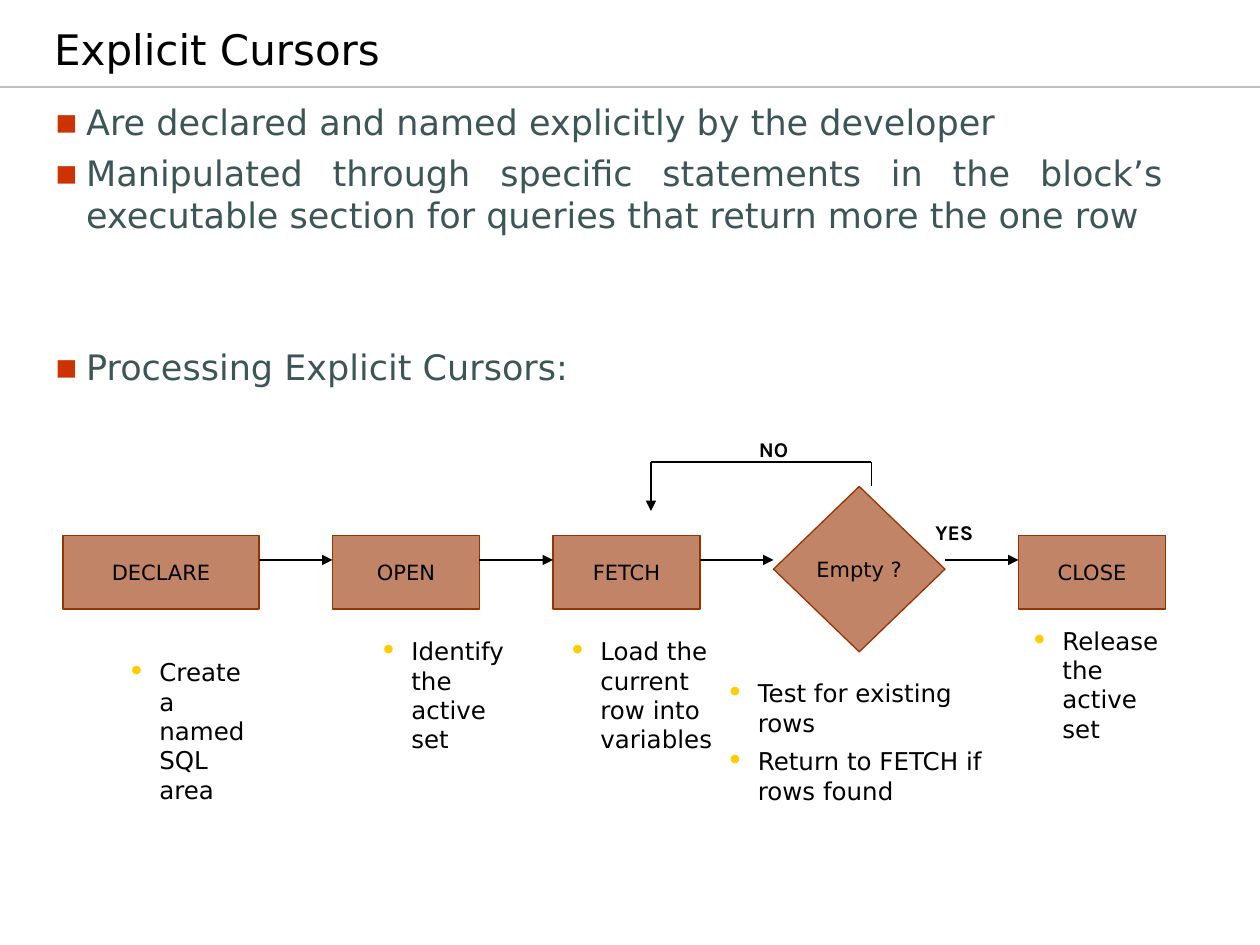
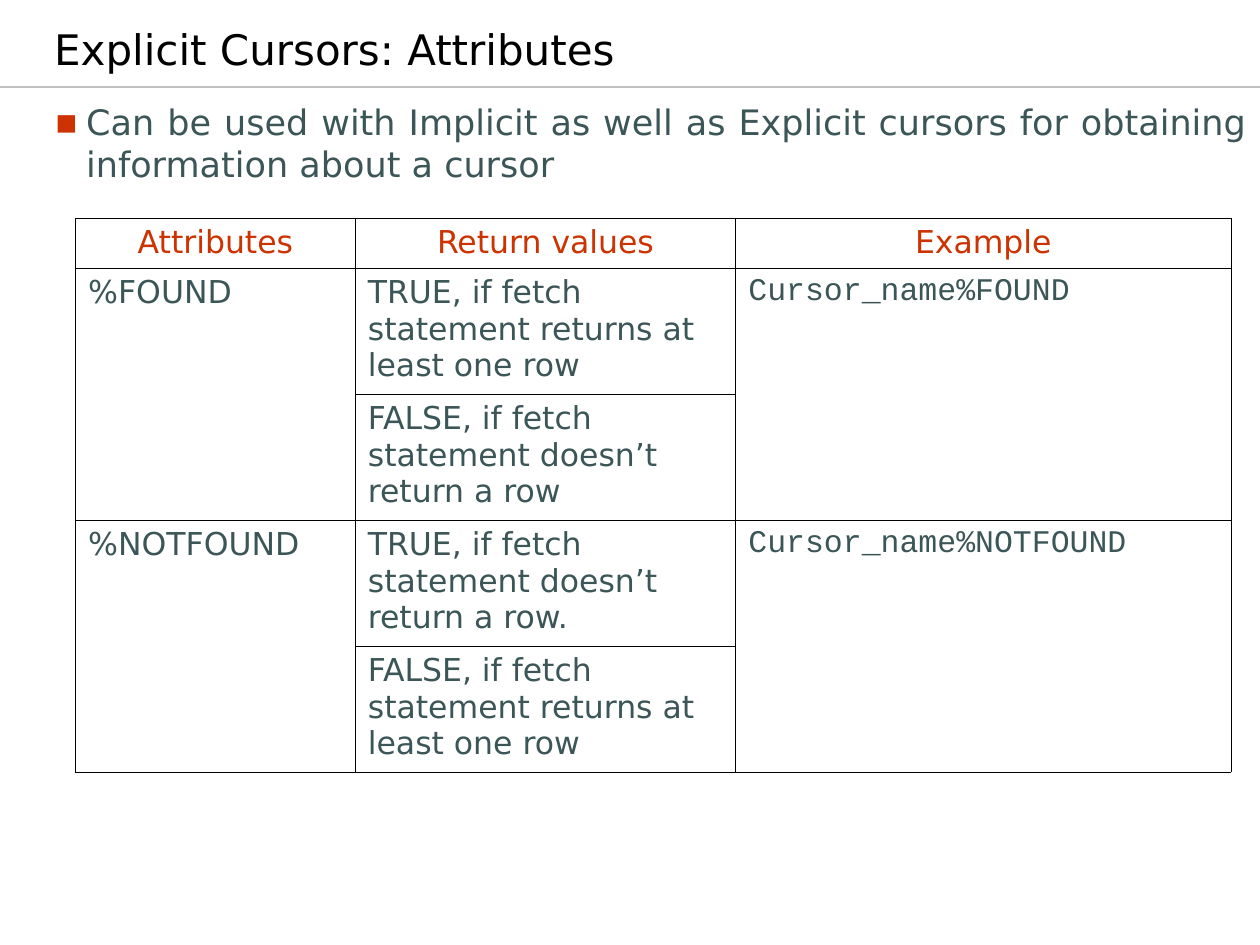
from dataclasses import dataclass
from itertools import accumulate

from lxml.etree import SubElement
from pptx import Presentation
from pptx.dml.color import RGBColor
from pptx.enum.shapes import MSO_CONNECTOR, MSO_SHAPE
from pptx.enum.text import MSO_ANCHOR, MSO_AUTO_SIZE, PP_ALIGN
from pptx.oxml.ns import qn
from pptx.util import Inches, Pt


@dataclass(frozen=True)
class Theme:
    font: str = "DejaVu Sans"
    label_font: str = "Karla"
    code_font: str = "Courier New"
    ink: str = "000000"
    text: str = "3C5658"
    accent: str = "CC3300"
    step: str = "993300"
    caption_bullet: str = "FFCC00"
    rule: str = "C0C0C0"
    title_size: int = 24
    body_size: int = 20
    table_size: int = 18
    caption_size: int = 14
    step_size: int = 12
    line: float = 0.74
    border: float = 0.34


THEME = Theme()
SLIDE_COLS, SLIDE_ROWS = 120, 90


@dataclass(frozen=True)
class Box:
    left: float
    top: float
    width: float
    height: float

    def area(self, left, top, width, height, unit=1):
        return Box(self.left + left * unit, self.top + top * unit, width * unit, height * unit)

    def emu(self):
        return [Inches(cells / 12) for cells in (self.left, self.top, self.width, self.height)]


SLIDE = Box(0, 0, SLIDE_COLS, SLIDE_ROWS)
TITLE = SLIDE.area(0.36, 2.04, 87.72, 5.64)
BODY = SLIDE.area(4, 9, 108, 74)
WIDE_BODY = SLIDE.area(4, 9, 116, 74)
FLOW = SLIDE.area(6, 44, 105, 18.67)
CAPTIONS = SLIDE.area(6, 59, 106, 20)
ATTRIBUTES = SLIDE.area(7.2, 20.76, 110.04, 52.8)


def rgb(color):
    return RGBColor.from_string(color)


def style(paragraph, size, color, font=THEME.font, align=PP_ALIGN.LEFT, bold=False):
    paragraph.alignment = align
    for run in paragraph.runs:
        run.font.name, run.font.size, run.font.bold = font, Pt(size), bold
        run.font.color.rgb = rgb(color)


def bullet(paragraph, mark, color, percent):
    props = paragraph._p.get_or_add_pPr()
    props.set("marL", str(Inches(0.25)))
    props.set("indent", str(-Inches(0.25)))
    SubElement(SubElement(props, qn("a:buClr")), qn("a:srgbClr"), val=color)
    SubElement(props, qn("a:buSzPct"), val=str(percent * 1000))
    SubElement(props, qn("a:buFont"), typeface=THEME.font)
    SubElement(props, qn("a:buChar"), char=mark)


def place(shape, box):
    shape.left, shape.top, shape.width, shape.height = box.emu()


def connect(slide, box, start, end, unit=1, color=THEME.ink, arrow=False):
    first, last = (box.area(*point, 0, 0, unit).emu()[:2] for point in (start, end))
    link = slide.shapes.add_connector(MSO_CONNECTOR.STRAIGHT, *first, *last)
    link.line.width, link.line.color.rgb = Pt(THEME.line), rgb(color)
    props = link.element.spPr
    if arrow:
        SubElement(props.find(qn("a:ln")), qn("a:tailEnd"), type="triangle")
    SubElement(props, qn("a:effectLst"))
    return link


def master_rule(deck, slide):
    rule = connect(slide, SLIDE, (0, 8.28), (SLIDE_COLS, 8.28), color=THEME.rule)
    deck.slide_master.element.cSld.spTree.append(rule.element)


def content_slide(deck, heading, points, body_box):
    slide = deck.slides.add_slide(deck.slide_layouts[1])
    title, body = slide.placeholders
    place(title, TITLE)
    title.text_frame.text = heading
    title.text_frame.auto_size = MSO_AUTO_SIZE.NONE
    title.text_frame.vertical_anchor = MSO_ANCHOR.BOTTOM
    title.text_frame.margin_left = Inches(0.4)
    style(title.text_frame.paragraphs[0], THEME.title_size, THEME.ink)
    place(body, body_box)
    body.text_frame.text = "\n".join(text for text, _ in points)
    body.text_frame.auto_size = MSO_AUTO_SIZE.NONE
    for paragraph, (_, gap) in zip(body.text_frame.paragraphs, points):
        paragraph.space_before = Pt(gap)
        style(paragraph, THEME.body_size, THEME.text, align=PP_ALIGN.JUSTIFY)
        bullet(paragraph, "▪", THEME.accent, 100)
    return slide


def text_box(slide, box, text, gap):
    frame = slide.shapes.add_textbox(*box.emu()).text_frame
    frame.word_wrap = True
    frame.text = text
    for paragraph in frame.paragraphs:
        paragraph.space_before = Pt(gap)
    return frame


def flow_step(slide, box, kind, text):
    step = slide.shapes.add_shape(kind, *box.emu())
    step.shadow.inherit = False
    step.fill.solid()
    step.fill.fore_color.rgb = rgb(THEME.step)
    tint = step.element.spPr.find(qn("a:solidFill")).find(qn("a:srgbClr"))
    SubElement(tint, qn("a:alpha"), val="60000")
    step.line.width, step.line.color.rgb = Pt(THEME.line), rgb(THEME.step)
    frame = step.text_frame
    frame.text = text
    frame.word_wrap = False
    frame.vertical_anchor = MSO_ANCHOR.MIDDLE
    if kind == MSO_SHAPE.FLOWCHART_DECISION:
        frame.margin_left = frame.margin_right = 0
    style(frame.paragraphs[0], THEME.step_size, THEME.ink, align=PP_ALIGN.CENTER)


def cursor_flow(slide, box):
    unit, gap = box.width / 45, 3
    steps = [("DECLARE", 8), ("OPEN", 6), ("FETCH", 6), ("Empty ?", 7), ("CLOSE", 6)]
    starts = accumulate((width + gap for _, width in steps), initial=0)
    for (text, width), left in zip(steps, starts):
        decision = text == "Empty ?"
        kind = MSO_SHAPE.FLOWCHART_DECISION if decision else MSO_SHAPE.RECTANGLE
        top, height = (1, 6.75) if decision else (3, 3)
        flow_step(slide, box.area(left, top, width, height, unit), kind, text)
        if left:
            connect(slide, box, (left - gap, 4), (left, 4), unit, arrow=True)
    connect(slide, box, (24, 0), (24, 2), unit, arrow=True)
    connect(slide, box, (24, 0), (33, 0), unit)
    connect(slide, box, (33, 0), (33, 1), unit)
    for text, left, top in (("NO", 27.9, -1.3), ("YES", 35.1, 2.1)):
        label = text_box(slide, box.area(left, top, 3.45, 1.55, unit), text, 7.5)
        style(label.paragraphs[0], THEME.step_size, THEME.ink, THEME.label_font, bold=True)


def step_captions(slide, box):
    captions = [
        ("Create a named SQL area", 5, 3, 15.25, 15),
        ("Identify the active set", 29, 1, 16, 13),
        ("Load the current row into variables", 47, 1, 17, 13),
        ("Test for existing rows\nReturn to FETCH if rows found", 62, 5, 26.75, 14.6),
        ("Release the active set", 91, 0, 15, 13),
    ]
    for text, *area in captions:
        for paragraph in text_box(slide, box.area(*area), text, 5.2).paragraphs:
            style(paragraph, THEME.caption_size, THEME.ink)
            bullet(paragraph, "•", THEME.caption_bullet, 120)


def table_cell(cell, text, color, font, align):
    cell.text_frame.text = text
    style(cell.text_frame.paragraphs[0], THEME.table_size, color, font, align)
    cell.fill.background()
    props = cell._tc.get_or_add_tcPr()
    for position, side in enumerate(("lnL", "lnR", "lnT", "lnB")):
        edge = SubElement(props, qn(f"a:{side}"), w=str(Pt(THEME.border)))
        SubElement(SubElement(edge, qn("a:solidFill")), qn("a:srgbClr"), val=THEME.ink)
        props.insert(position, edge)


def attribute_table(slide, box):
    rows = [
        ("Attributes", "Return values", "Example"),
        ("%FOUND", "TRUE, if fetch statement returns at least one row", "Cursor_name%FOUND"),
        ("", "FALSE, if fetch statement doesn’t return a row", ""),
        ("%NOTFOUND", "TRUE, if fetch statement doesn’t return a row.", "Cursor_name%NOTFOUND"),
        ("", "FALSE, if fetch statement returns at least one row", ""),
    ]
    table = slide.shapes.add_table(len(rows), len(rows[0]), *box.emu()).table
    table.first_row = table.horz_banding = False
    for column, share in zip(table.columns, (2.22, 3.02, 3.93)):
        column.width = Inches(box.width / 12 * share / 9.17)
    for row, share in zip(table.rows, (0.4, 1, 1, 1, 1)):
        row.height = Inches(box.height / 12 * share / 4.4)
    for r, texts in enumerate(rows):
        for c, text in enumerate(texts):
            color = THEME.text if r else THEME.accent
            font = THEME.code_font if r and c == 2 else THEME.font
            align = PP_ALIGN.LEFT if r else PP_ALIGN.CENTER
            table_cell(table.cell(r, c), text, color, font, align)
    for r in (1, 3):
        for c in (0, 2):
            table.cell(r, c).merge(table.cell(r + 1, c))


deck = Presentation()
deck.slide_width, deck.slide_height = SLIDE.emu()[2:]

cursors = content_slide(deck, "Explicit Cursors", [
    ("Are declared and named explicitly by the developer", 5),
    ("Manipulated through specific statements in the block’s executable section "
     "for queries that return more the one row", 5),
    ("Processing Explicit Cursors:", 63),
], BODY)
master_rule(deck, cursors)
cursor_flow(cursors, FLOW)
step_captions(cursors, CAPTIONS)

attributes = content_slide(deck, "Explicit Cursors: Attributes", [
    ("Can be used with Implicit as well as Explicit cursors for obtaining "
     "information about a cursor", 5),
], WIDE_BODY)
attribute_table(attributes, ATTRIBUTES)

deck.save("out.pptx")
